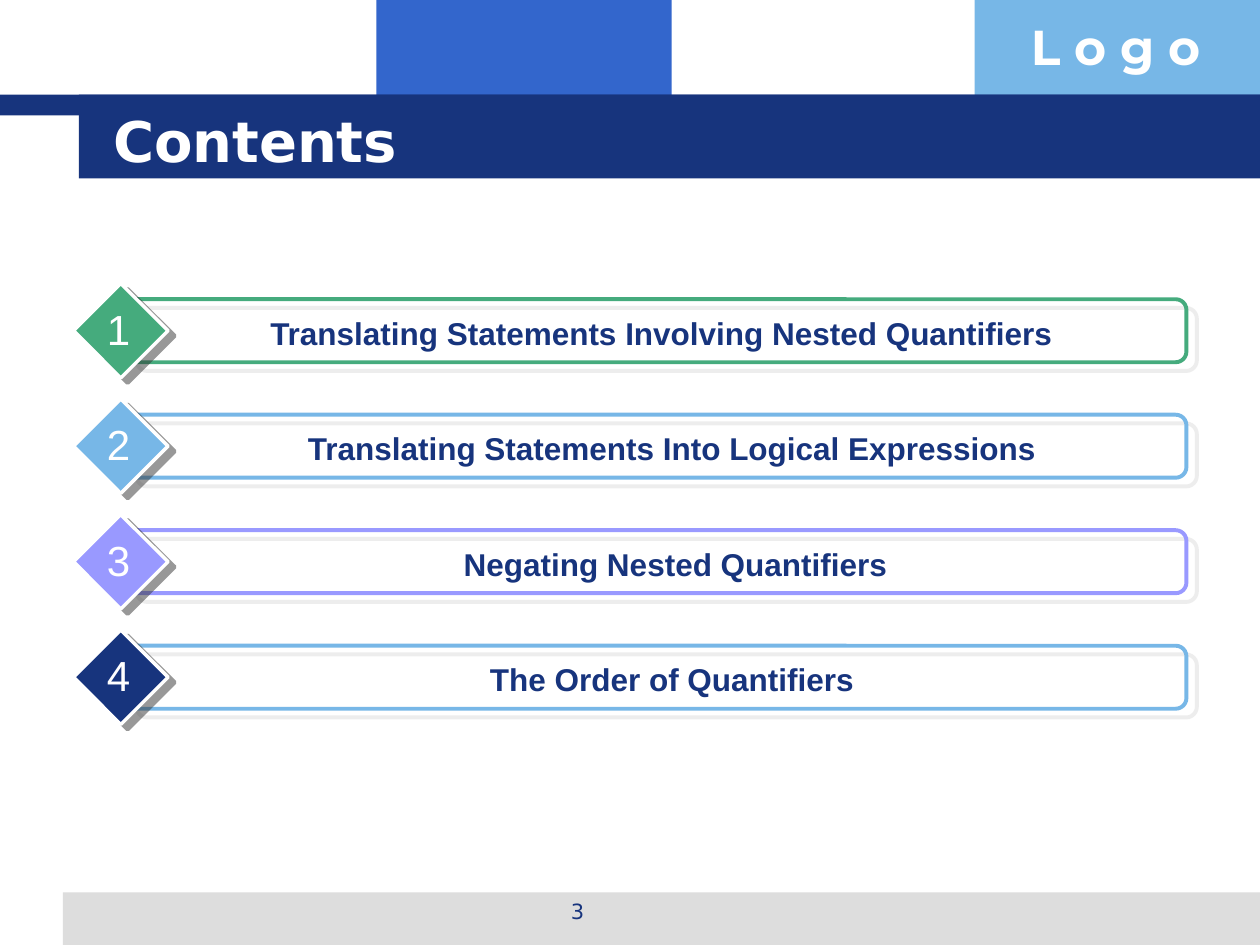
from lxml import etree
from pptx import Presentation
from pptx.dml.color import RGBColor
from pptx.enum import shapes, text
from pptx.oxml import ns
from pptx.util import Pt

NAVY, BLUE, SKY = "17347D", "3366CC", "77B7E7"
GREEN, LILAC, GREY, WHITE = "45AB7D", "9999FF", "DDDDDD", "FFFFFF"

bands = [
    (215, 0, 168.75, 66, BLUE),
    (557, 0, 163, 66, SKY),
    (36, 510, 684, 30, GREY),
    (0, 54, 720, 12, NAVY),
    (45, 54, 675, 48, NAVY),
]
labels = [
    ("L o g o", (582, 6, 138.75, 41), "Montserrat", 28, WHITE, True, "LEFT"),
    ("3", (246, 510, 168, 25), "DejaVu Sans", 12, NAVY, False, "CENTER"),
    ("Contents", (57.5, 57.5, 614, 45), "DejaVu Sans", 32, WHITE, True, "LEFT"),
]
items = [
    ("Translating Statements Involving Nested Quantifiers", GREEN, GREEN, 90),
    ("Translating Statements Into Logical Expressions", SKY, SKY, 96),
    ("Negating Nested Quantifiers", LILAC, LILAC, 98),
    ("The Order of Quantifiers", SKY, NAVY, 96),
]
TOP, STEP = 162, 66

deck = Presentation()
deck.slide_width, deck.slide_height = Pt(720), Pt(540)
slide = deck.slides.add_slide(deck.slide_layouts[6])


def tint(code):
    return RGBColor.from_string(code)


def draw(kind, box, fill=None, line=None, width=1):
    shape = slide.shapes.add_shape(kind, *map(Pt, box))
    shape.shadow.inherit = False
    if fill:
        shape.fill.solid()
        shape.fill.fore_color.rgb = tint(fill)
    else:
        shape.fill.background()
    if line:
        shape.line.color.rgb = tint(line)
        shape.line.width = Pt(width)
    else:
        shape.line.fill.background()
    return shape


def shade(shape, code, dist, angle):
    effects = shape._element.spPr.find(ns.qn("a:effectLst"))
    outer = etree.SubElement(
        effects, ns.qn("a:outerShdw"), blurRad="0", dist=str(Pt(dist)),
        dir=str(angle * 60000), algn="ctr", rotWithShape="0")
    color = etree.SubElement(outer, ns.qn("a:srgbClr"), val=code)
    etree.SubElement(color, ns.qn("a:alpha"), val="50000")


def write(words, box, face, size, code, bold, align, wrap=True):
    area = slide.shapes.add_textbox(*map(Pt, box))
    frame = area.text_frame
    frame.word_wrap = wrap
    para = frame.paragraphs[0]
    para.text = words
    para.alignment = text.PP_ALIGN[align]
    font = para.font
    font.name, font.size, font.bold = face, Pt(size), bold
    font.color.rgb = tint(code)
    return frame


for *box, fill in bands:
    draw(shapes.MSO_SHAPE.RECTANGLE, box, fill)

for label in labels:
    frame = write(*label)
frame.vertical_anchor = text.MSO_ANCHOR.MIDDLE

for row, (words, edge, fill, left) in enumerate(items):
    top = TOP + row * STEP
    bar = draw(shapes.MSO_SHAPE.ROUNDED_RECTANGLE, (72, top + 9, 606, 36),
               line=edge, width=2.25)
    bar.adjustments[0] = 0.17
    shade(bar, GREY, 7.8, 40)
    gem = draw(shapes.MSO_SHAPE.DIAMOND, (42, top, 54, 54), fill, WHITE, 2)
    shade(gem, "333333", 5, 37)
    write(words, (left, top + 13.75, 576, 29), "Arial", 18, NAVY, True, "CENTER")
    write(str(row + 1), (54, top + 7.75, 27.5, 36), "Arial", 24, WHITE, False,
          "CENTER", False)

deck.save("out.pptx")
